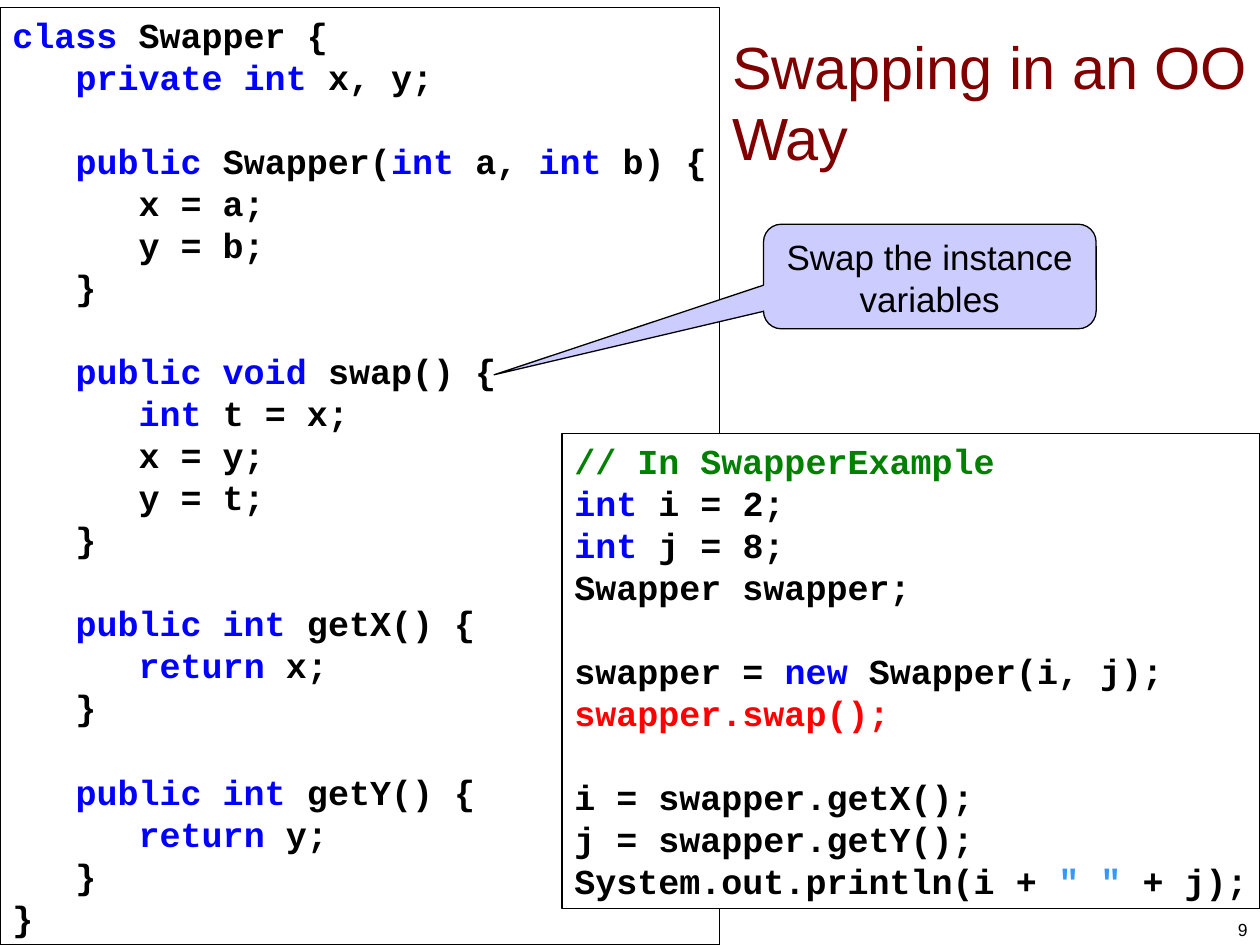
from typing import NamedTuple

from pptx import Presentation
from pptx.dml.color import RGBColor
from pptx.enum.shapes import MSO_SHAPE
from pptx.enum.text import MSO_ANCHOR, MSO_AUTO_SIZE, PP_ALIGN
from pptx.util import Inches, Pt

RECTANGLE = MSO_SHAPE.RECTANGLE
CALLOUT = MSO_SHAPE.ROUNDED_RECTANGULAR_CALLOUT
TOP, MIDDLE, BOTTOM = MSO_ANCHOR.TOP, MSO_ANCHOR.MIDDLE, MSO_ANCHOR.BOTTOM
LEFT, CENTER, RIGHT = PP_ALIGN.LEFT, PP_ALIGN.CENTER, PP_ALIGN.RIGHT
FIXED, GROW = MSO_AUTO_SIZE.NONE, MSO_AUTO_SIZE.SHAPE_TO_FIT_TEXT

BLACK = RGBColor(0x00, 0x00, 0x00)
WHITE = RGBColor(0xFF, 0xFF, 0xFF)
MAROON = RGBColor(0x80, 0x00, 0x00)
LAVENDER = RGBColor(0xCC, 0xCC, 0xFF)
KEYWORD = RGBColor(0x00, 0x00, 0xFF)
COMMENT = RGBColor(0x00, 0x80, 0x00)
CALL = RGBColor(0xFF, 0x00, 0x00)
STRING = RGBColor(0x33, 0x99, 0xFF)

# The slide is a grid of 100 columns by 75 rows
COLUMNS, ROWS = 100, 75
SLIDE_WIDTH, SLIDE_HEIGHT = Inches(10), Inches(7.5)
CODE_LINE = Pt(24)
# Narrow right margin that leaves room for the longest lines
TIGHT_MARGIN = Inches(0.03)


class Area(NamedTuple):
    column: float
    row: float
    columns: float
    rows: float

    def lengths(self) -> dict:
        return {
            "left": round(self.column * SLIDE_WIDTH / COLUMNS),
            "top": round(self.row * SLIDE_HEIGHT / ROWS),
            "width": round(self.columns * SLIDE_WIDTH / COLUMNS),
            "height": round(self.rows * SLIDE_HEIGHT / ROWS),
        }


class Listing(NamedTuple):
    area: Area
    fill: RGBColor | None
    code: str


# Backticks enclose coloured code; anything not listed here is a keyword
HIGHLIGHTS = {
    "// In SwapperExample": COMMENT,
    "swapper.swap();": CALL,
    '" "': STRING,
}

LISTINGS = [
    Listing(Area(0, 0.6, 57.1, 74.4), None, """\
`class` Swapper {
   `private int` x, y;

   `public` Swapper(`int` a, `int` b) {
      x = a;
      y = b;
   }

   `public void` swap() {
      `int` t = x;
      x = y;
      y = t;
   }

   `public int` getX() {
      `return` x;
   }

   `public int` getY() {
      `return` y;
   }
}"""),
    Listing(Area(44.6, 34.4, 55.4, 37.7), WHITE, """\
`// In SwapperExample`
`int` i = 2;
`int` j = 8;
Swapper swapper;

swapper = `new` Swapper(i, j);
`swapper.swap();`

i = swapper.getX();
j = swapper.getY();
System.out.println(i + `" "` + j);"""),
]


def apply(target, values: dict) -> None:
    for name, value in values.items():
        setattr(target, name, value)


def format_font(font, size: float, color: RGBColor, name: str = "Arial", bold: bool = False) -> None:
    apply(font, {"size": Pt(size), "name": name, "bold": bold})
    font.color.rgb = color


def write(shape, text: str, size: float, color: RGBColor, alignment, anchor, auto_size) -> None:
    frame = shape.text_frame
    apply(frame, {"text": text, "word_wrap": True, "vertical_anchor": anchor, "auto_size": auto_size})
    paragraph = frame.paragraphs[0]
    paragraph.alignment = alignment
    format_font(paragraph.runs[0].font, size, color)


def add_outlined(slide, preset, area: Area, fill: RGBColor | None):
    shape = slide.shapes.add_shape(preset, **area.lengths())
    shape.shadow.inherit = False
    if fill is None:
        shape.fill.background()
    else:
        shape.fill.solid()
        shape.fill.fore_color.rgb = fill
    shape.line.color.rgb = BLACK
    shape.line.width = Pt(0.75)
    return shape


def add_listing(slide, listing: Listing) -> None:
    frame = add_outlined(slide, RECTANGLE, listing.area, listing.fill).text_frame
    apply(frame, {"word_wrap": False, "vertical_anchor": TOP, "auto_size": FIXED,
                  "margin_right": TIGHT_MARGIN})
    paragraph, gap = frame.paragraphs[0], 0
    for number, line in enumerate(listing.code.splitlines()):
        # An empty code line becomes space before the next one
        if not line:
            gap = CODE_LINE
            continue
        if number:
            paragraph = frame.add_paragraph()
        apply(paragraph, {"alignment": LEFT, "space_before": gap})
        gap = 0
        for position, code in enumerate(line.split("`")):
            if code:
                color = HIGHLIGHTS.get(code, KEYWORD) if position % 2 else BLACK
                run = paragraph.add_run()
                run.text = code
                format_font(run.font, 20, color, "Courier New", True)


def main() -> None:
    presentation = Presentation()
    apply(presentation, {"slide_width": SLIDE_WIDTH, "slide_height": SLIDE_HEIGHT})
    slide = presentation.slides.add_slide(presentation.slide_layouts[5])

    # Title
    title = slide.shapes.title
    apply(title, Area(57.1, 1.8, 42.9, 12.5).lengths())
    write(title, "Swapping in an OO Way", 34, MAROON, LEFT, MIDDLE, FIXED)
    title.text_frame.margin_right = TIGHT_MARGIN

    # Class and its use
    for listing in LISTINGS:
        add_listing(slide, listing)

    # Callout pointing at the swap method
    callout = add_outlined(slide, CALLOUT, Area(60.6, 17.8, 26.4, 8.3), LAVENDER)
    for index, value in enumerate((-1.31, 0.94, 0.17)):
        callout.adjustments[index] = value
    write(callout, "Swap the instance variables", 20, BLACK, CENTER, TOP, GROW)

    # Page number
    page_number = slide.shapes.add_textbox(**Area(76.7, 70.1, 23.3, 5).lengths())
    write(page_number, "9", 10, BLACK, RIGHT, BOTTOM, FIXED)

    presentation.save("out.pptx")


if __name__ == "__main__":
    main()
